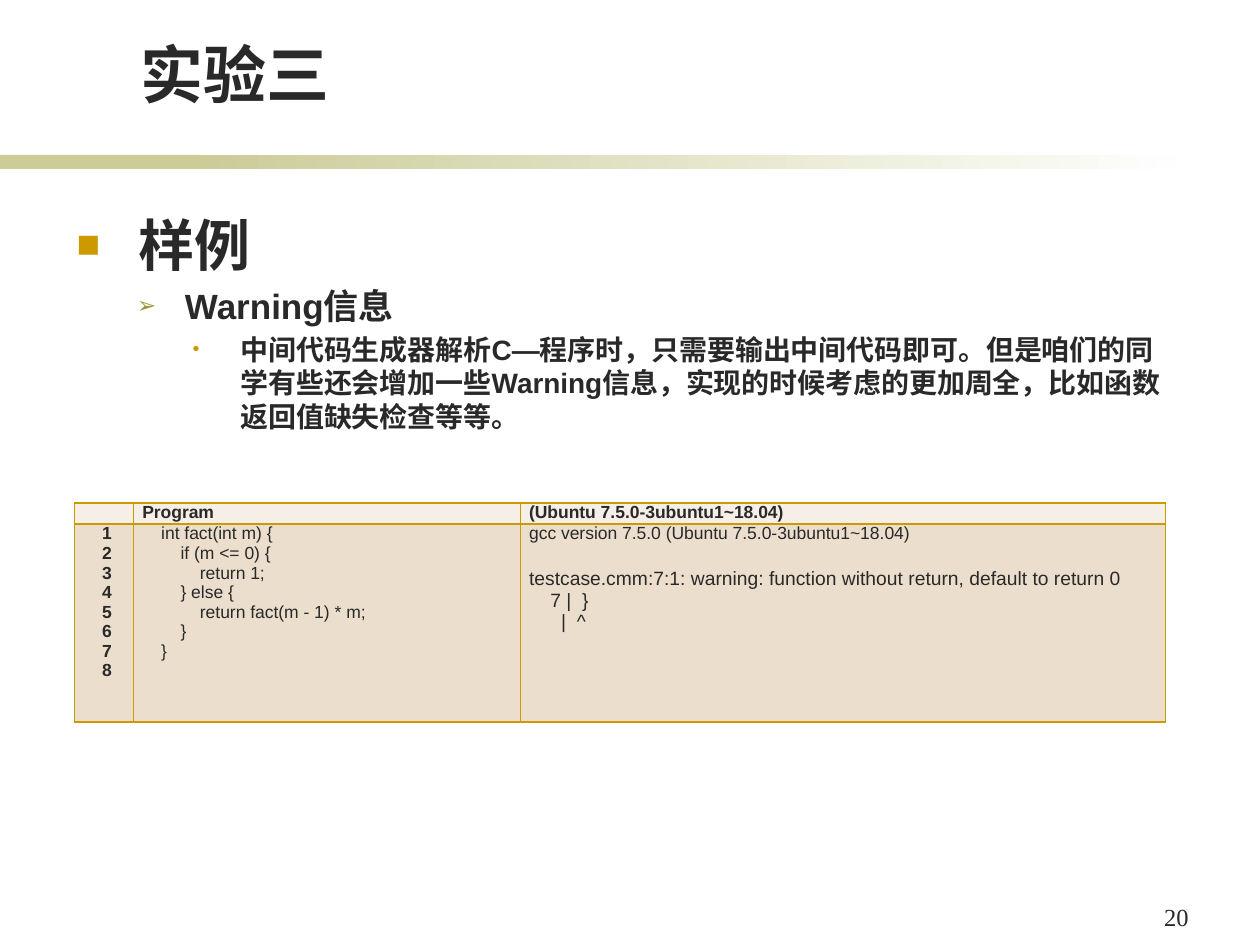
from lxml import etree
from pptx import Presentation
from pptx import util as u
from pptx.dml.color import RGBColor
from pptx.enum import shapes, text
from pptx.oxml import ns

COLORS = {
    "ink": "292929", "olive": "CCCC99", "dark olive": "999933", "gold": "CC9900",
    "white": "FFFFFF", "header": "F6EFE7", "body": "ECDECC",
}
COLUMNS, ROWS = 100, 75

BULLETS = [
    dict(words="样例", size=32, left=0.49, hang=0.49, bullet="■", tint="gold", share=70),
    dict(words="Warning信息", size=20, left=0.86, hang=0.38, bullet="➢",
         tint="dark olive", share=65, before=4),
    dict(words="中间代码生成器解析C—程序时，只需要输出中间代码即可。但是咱们的同学有些还会"
               "增加一些Warning信息，实现的时候考虑的更加周全，比如函数返回值缺失检查等等。",
         size=16, left=1.3, hang=0.38, bullet="•", tint="gold", share=70, before=3.2),
]
PROGRAM = """int fact(int m) {
    if (m <= 0) {
        return 1;
    } else {
        return fact(m - 1) * m;
    }
}""".split("\n")
WARNING = """testcase.cmm:7:1: warning: function without return, default to return 0
    7 |  }
      |  ^""".split("\n")


def rgb(name):
    return RGBColor.from_string(COLORS[name])


def add_element(parent, tag, **attributes):
    return etree.SubElement(parent, ns.qn(tag), attributes)


def write(frame, words, size=10, bold=True, font="Arial", left=0, hang=0,
          bullet=None, tint="gold", share=100, before=0):
    """Add one paragraph; a negative hang indents the first line."""
    para = frame.paragraphs[0]
    if para.runs:
        para = frame.add_paragraph()
    props = para._p.get_or_add_pPr()
    props.set("marL", str(u.Inches(left)))
    props.set("indent", str(u.Inches(-hang)))
    if bullet:
        color = add_element(props, "a:buClr")
        add_element(color, "a:srgbClr", val=COLORS[tint])
        add_element(props, "a:buSzPct", val=str(share * 1000))
        add_element(props, "a:buFont", typeface="Arial")
        add_element(props, "a:buChar", char=bullet)
    if before:
        para.space_before = u.Pt(before)
    span = para.add_run()
    span.text = words
    span.font.size, span.font.bold, span.font.name = u.Pt(size), bold, font
    span.font.color.rgb = rgb("ink")


class SlideBuilder:
    def __init__(self, deck):
        self.page = deck.slides.add_slide(deck.slide_layouts[6])
        self.column = deck.slide_width / COLUMNS
        self.row = deck.slide_height / ROWS

    def place(self, left, top, width, height):
        return [round(n * step) for n, step in zip(
            (left, top, width, height), (self.column, self.row) * 2)]

    def band(self, *area, fade_to=None):
        shape = self.page.shapes.add_shape(
            shapes.MSO_SHAPE.RECTANGLE, *self.place(*area))
        shape.shadow.inherit = False
        shape.line.fill.background()
        if fade_to:
            shape.fill.gradient()
            shape.fill.gradient_angle = 0
            for stop, name, position in zip(
                    shape.fill.gradient_stops, ("olive", fade_to), (0, 1)):
                stop.color.rgb, stop.position = rgb(name), position
        else:
            shape.fill.solid()
            shape.fill.fore_color.rgb = rgb("olive")

    def text(self, *area, paragraphs, anchor=text.MSO_ANCHOR.TOP):
        frame = self.page.shapes.add_textbox(*self.place(*area)).text_frame
        frame.word_wrap = True
        frame.vertical_anchor = anchor
        for para in paragraphs:
            write(frame, **para)

    def table(self, *area, widths, heights, cells, fills):
        grid = self.page.shapes.add_table(
            len(heights), len(widths), *self.place(*area)).table
        for column, width in zip(grid.columns, widths):
            column.width = round(width * self.column)
        for row, height, contents, fill in zip(grid.rows, heights, cells, fills):
            row.height = round(height * self.row)
            for cell, paragraphs in zip(row.cells, contents):
                self.cell(cell, paragraphs, fill)

    def cell(self, cell, paragraphs, fill):
        cell.margin_left = cell.margin_right = u.Inches(0.07)
        cell.margin_top = cell.margin_bottom = 0
        props = cell._tc.get_or_add_tcPr()
        for side in ("a:lnL", "a:lnR", "a:lnT", "a:lnB"):
            line = add_element(props, side, w=str(u.Pt(1)))
            paint = add_element(line, "a:solidFill")
            add_element(paint, "a:srgbClr", val=COLORS["gold"])
        cell.fill.solid()
        cell.fill.fore_color.rgb = rgb(fill)
        for para in paragraphs:
            write(cell.text_frame, **para)
        if not paragraphs:
            # Keeps the empty cell from stretching its row
            add_element(cell.text_frame.paragraphs[0]._p, "a:endParaRPr", sz="1000")


def main():
    deck = Presentation()
    deck.slide_width, deck.slide_height = u.Inches(10), u.Inches(7.5)
    slide = SlideBuilder(deck)

    slide.band(0, 12.3, 15.8, 1.1)
    slide.band(15.8, 12.3, 79.2, 1.1, fade_to="white")
    slide.text(10.2, 2.3, 73.4, 7, anchor=text.MSO_ANCHOR.BOTTOM,
               paragraphs=[dict(words="实验三", size=36)])
    slide.text(5.1, 16.2, 89, 50.6, paragraphs=BULLETS)

    numbers = [dict(words=str(n), hang=-0.15) for n in range(1, 9)]
    program = [dict(words=line, bold=False, hang=-0.15) for line in PROGRAM]
    output = [dict(words="gcc version 7.5.0 (Ubuntu 7.5.0-3ubuntu1~18.04)", bold=False)]
    output += [dict(words=line, size=11, bold=False, before=0 if i else 14)
               for i, line in enumerate(WARNING)]
    slide.table(
        5.9, 39.9, 86.6, 17.4, widths=(4.7, 30.7, 51.2), heights=(1.7, 15.7),
        fills=("header", "body"),
        cells=[[[], [dict(words="Program")], [dict(words="(Ubuntu 7.5.0-3ubuntu1~18.04)")]],
               [numbers, program, output]])

    slide.text(91.4, 71.1, 4.7, 3.4, paragraphs=[
        dict(words="20", size=14, bold=False, font="Times New Roman")])
    deck.save("out.pptx")


if __name__ == "__main__":
    main()
